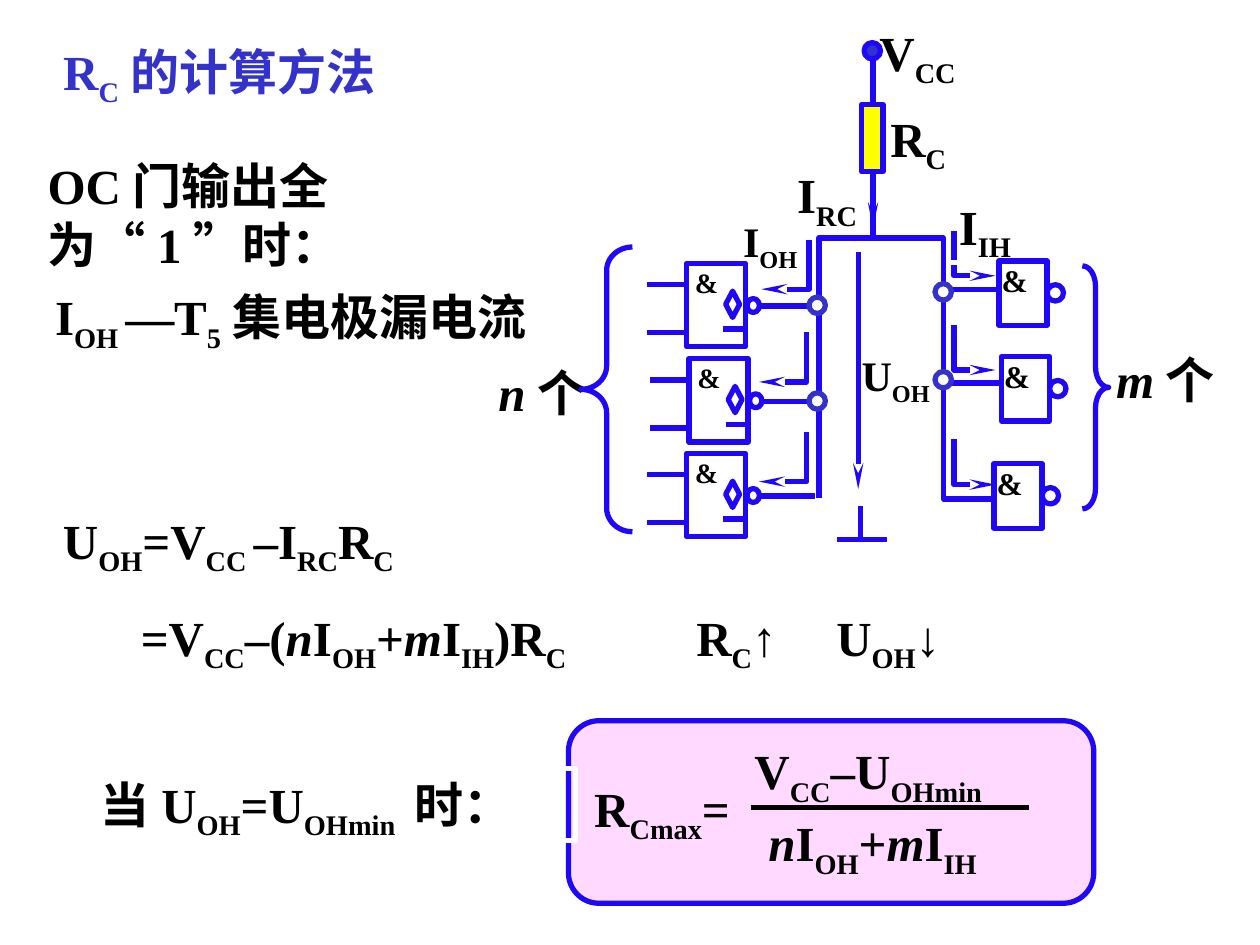
from lxml import etree
from pptx import Presentation
from pptx import util as u
from pptx.dml.color import RGBColor
from pptx.enum import shapes, text
from pptx.oxml import ns

COLORS = {"wire": "1F08F8", "title": "3333CC", "ink": "000000", "white": "FFFFFF",
          "resistor": "FFFF00", "formula": "FFD9FF"}
FONT = "Times New Roman"
KIND = shapes.MSO_SHAPE

TITLE = ("R|_C|的计算方法", (1.02, 0.86, 7.26, 1.3))
STATEMENTS = [
    ("OC门输出全为“1”时：", (0.71, 3.02, 10.74, 1.45)),
    ("I|_OH |—T|_5|集电极漏电流", (0.86, 5.66, 10.31, 1.45)),
    ("I|_IH", (19.08, 3.84, 1.83, 1.45)),
    ("U|_OH|=V|_CC |–I|_RC|R|_C", (1.02, 10.16, 8.1, 1.45)),
    ("=V|_CC|–(|~n|I|_OH|+|~m|I|_IH|)R|_C", (2.59, 12.12, 10.11, 1.45)),
    ("R|_C|↑\tU|_OH|↓", (13.79, 12.12, 6.32, 1.45)),
    ("当U|_OH|=U|_OHmin |时：", (1.78, 15.49, 9.83, 1.45)),
]
LABELS = [
    ("U|_OH", (17.12, 6.93, 2.34, 1.27), 24),
    ("I|_OH", (14.73, 4.22, 2.26, 1.27), 24),
    ("I|_RC", (15.82, 3.2, 1.85, 1.45), 28),
    ("R|_Cmax|=", (11.73, 15.57, 3.94, 1.45), 28),
    ("V|_CC|–U|_OHmin", (14.96, 14.81, 5.69, 1.45), 28),
    ("~n|I|_OH|+|~m|I|_IH", (15.24, 16.26, 5.28, 1.45), 28),
    ("V|_CC", (17.48, 0.33, 2.69, 1.45), 28),
    ("R|_C", (17.7, 2.06, 2.11, 1.45), 28),
    ("~n|个", (9.8, 7.19, 2.59, 1.45), 28),
    ("~m|个", (22.25, 6.93, 2.59, 1.45), 28),
]
TAB_STOP = 2.82

OUTPUT_GATES = [(13.84, 5.31), (13.89, 7.23), (13.84, 9.14)]
GATE_WIRES = [(1.47, 0.86, 2.59, 0.86), (-0.79, 0.43, 0, 0.43),
              (-0.79, 1.4, 0, 1.4), (0.74, 1.32, 1.17, 1.32)]
GATE_PARTS = [(KIND.RECTANGLE, (0, 0, 1.19, 1.68)), (KIND.OVAL, (1.22, 0.71, 0.25, 0.28)),
              (KIND.DIAMOND, (0.79, 0.56, 0.28, 0.53))]
LOAD_GATES = [(20.14, 5.26), (20.19, 7.19), (20.04, 9.35)]
LOAD_PARTS = [(KIND.RECTANGLE, (0, 0, 0.97, 1.3)), (KIND.OVAL, (0.97, 0.48, 0.33, 0.33))]
LOAD_WIRES = [(20.14, 7.72, 18.95, 7.72), (20.09, 5.84, 18.95, 5.84)]

LEAKAGE_STARTS, LEAKAGE_STEP = [(16.31, 4.83), (16.26, 6.7), (16.26, 8.71)], (-0.96, 1.0)
INPUT_STARTS, INPUT_STEP = [(19.23, 4.65), (19.23, 6.55), (19.23, 8.86)], (0.84, 0.91)
VOLTAGE_ARROW, SUPPLY_ARROW = (17.3, 5.08, 17.3, 9.86), (17.6, 3.51, 17.6, 4.6)
GROUND = [(16.87, 10.87, 17.88, 10.87), (17.35, 10.87, 17.35, 10.21)]
SUPPLY_WIRE = (17.6, 1.12, 17.6, 4.85)
BUS = [(16.51, 10.03), (16.51, 4.8), (19.02, 4.8), (19.02, 10.06), (20.02, 10.06)]
JUNCTIONS = [(16.31, 5.99), (16.31, 7.92), (18.85, 5.72), (18.85, 7.49)]
FRACTION_BAR = (15.14, 16.28, 20.75, 16.28)


def cm(*lengths):
    return [u.Cm(length) for length in lengths]


def shift(origin, box):
    return (origin[0] + box[0], origin[1] + box[1], *box[2:])


def rgb(name):
    return RGBColor.from_string(COLORS[name])


def stroke(line, color, arrow=False):
    line.color.rgb = rgb(color)
    line.width = u.Pt(3)
    if arrow:
        properties = line.color._xFill.getparent()
        etree.SubElement(properties, ns.qn("a:tailEnd"), type="stealth", w="sm", len="lg")


def write(frame, markup, size=28, color="ink"):
    paragraph = frame.paragraphs[0]
    paragraph.alignment = text.PP_ALIGN.LEFT
    if "\t" in markup:
        stops = etree.SubElement(paragraph._p.get_or_add_pPr(), ns.qn("a:tabLst"))
        etree.SubElement(stops, ns.qn("a:tab"), pos=str(u.Cm(TAB_STOP)), algn="l")
    for piece in markup.split("|"):
        run = paragraph.add_run()
        run.text = piece.lstrip("_~")
        run.font.name, run.font.size, run.font.bold = FONT, u.Pt(size), True
        run.font.color.rgb = rgb(color)
        if piece.startswith("~"):
            run.font.italic = True
        if piece.startswith("_"):
            run.font._element.set("baseline", "-25000")


def label(slide, markup, box, size=28, outline=None):
    caption = slide.shapes.add_textbox(*cm(*box))
    caption.text_frame.word_wrap = True
    caption.text_frame.auto_size = text.MSO_AUTO_SIZE.SHAPE_TO_FIT_TEXT
    if outline:
        stroke(caption.line, outline)
    write(caption.text_frame, markup, size)


def wire(slide, ends, color="wire", arrow=False):
    segment = slide.shapes.add_connector(shapes.MSO_CONNECTOR.STRAIGHT, *cm(*ends))
    stroke(segment.line, color, arrow)
    etree.SubElement(segment._element.spPr, ns.qn("a:effectLst"))


def outline_path(slide, points, arrow=False):
    start, *rest = [tuple(cm(*point)) for point in points]
    builder = slide.shapes.build_freeform(*start, scale=1.0)
    builder.add_line_segments(rest, close=False)
    route = builder.convert_to_shape()
    route.fill.background()
    stroke(route.line, "wire", arrow)
    route.shadow.inherit = False


def part(slide, kind, box, fill=None, line="wire", adjust=()):
    symbol = slide.shapes.add_shape(kind, *cm(*box))
    symbol.shadow.inherit = False
    for index, value in enumerate(adjust):
        symbol.adjustments[index] = value
    if fill:
        symbol.fill.solid()
        symbol.fill.fore_color.rgb = rgb(fill)
    else:
        symbol.fill.background()
    stroke(symbol.line, line)


def main():
    """Build the slide on choosing the pull-up resistor of OC gates."""
    deck = Presentation()
    deck.slide_width, deck.slide_height = cm(25.4, 19.05)
    slide = deck.slides.add_slide(deck.slide_layouts[5])

    heading = slide.shapes.title
    heading.left, heading.top, heading.width, heading.height = cm(*TITLE[1])
    heading.text_frame.auto_size = text.MSO_AUTO_SIZE.NONE
    heading.text_frame.vertical_anchor = text.MSO_ANCHOR.MIDDLE
    write(heading.text_frame, TITLE[0], color="title")

    for starts, (dx, dy) in ((LEAKAGE_STARTS, LEAKAGE_STEP), (INPUT_STARTS, INPUT_STEP)):
        for x, y in starts:
            outline_path(slide, [(x, y), (x, y + dy), (x + dx, y + dy)], arrow=True)
    for ends in (VOLTAGE_ARROW, SUPPLY_ARROW):
        wire(slide, ends, arrow=True)
    part(slide, KIND.ROUNDED_RECTANGLE, (11.46, 14.53, 10.59, 3.68), "formula", adjust=[0.167])
    for markup, box in STATEMENTS:
        label(slide, markup, box, outline="white")
    for markup, box, size in LABELS:
        label(slide, markup, box, size)
    wire(slide, FRACTION_BAR, "ink")

    for ends in [SUPPLY_WIRE, *GROUND, *LOAD_WIRES]:
        wire(slide, ends)
    part(slide, KIND.RECTANGLE, (17.37, 2.11, 0.43, 1.35), "resistor")
    part(slide, KIND.OVAL, (17.42, 0.86, 0.33, 0.33), "title")
    outline_path(slide, BUS)
    part(slide, KIND.LEFT_BRACE, (11.71, 4.98, 1.04, 5.74), adjust=[0.455, 0.5])
    part(slide, KIND.RIGHT_BRACE, (21.82, 5.36, 0.53, 4.9), adjust=[0.777, 0.5])

    for gates, parts, wires, sign_box, size in (
            (OUTPUT_GATES, GATE_PARTS, GATE_WIRES, (-0.08, -0.08, 1.19, 0.94), 16),
            (LOAD_GATES, LOAD_PARTS, [], (-0.2, -0.12, 1.63, 1.02), 18)):
        for origin in gates:
            for x1, y1, x2, y2 in wires:
                wire(slide, shift(origin, (x1, y1)) + shift(origin, (x2, y2)))
            for kind, box in parts:
                part(slide, kind, shift(origin, box))
            label(slide, "&", shift(origin, sign_box), size)
    for x, y in JUNCTIONS:
        part(slide, KIND.OVAL, (x, y, 0.33, 0.33), "white", "title")

    deck.save("out.pptx")


if __name__ == "__main__":
    main()
